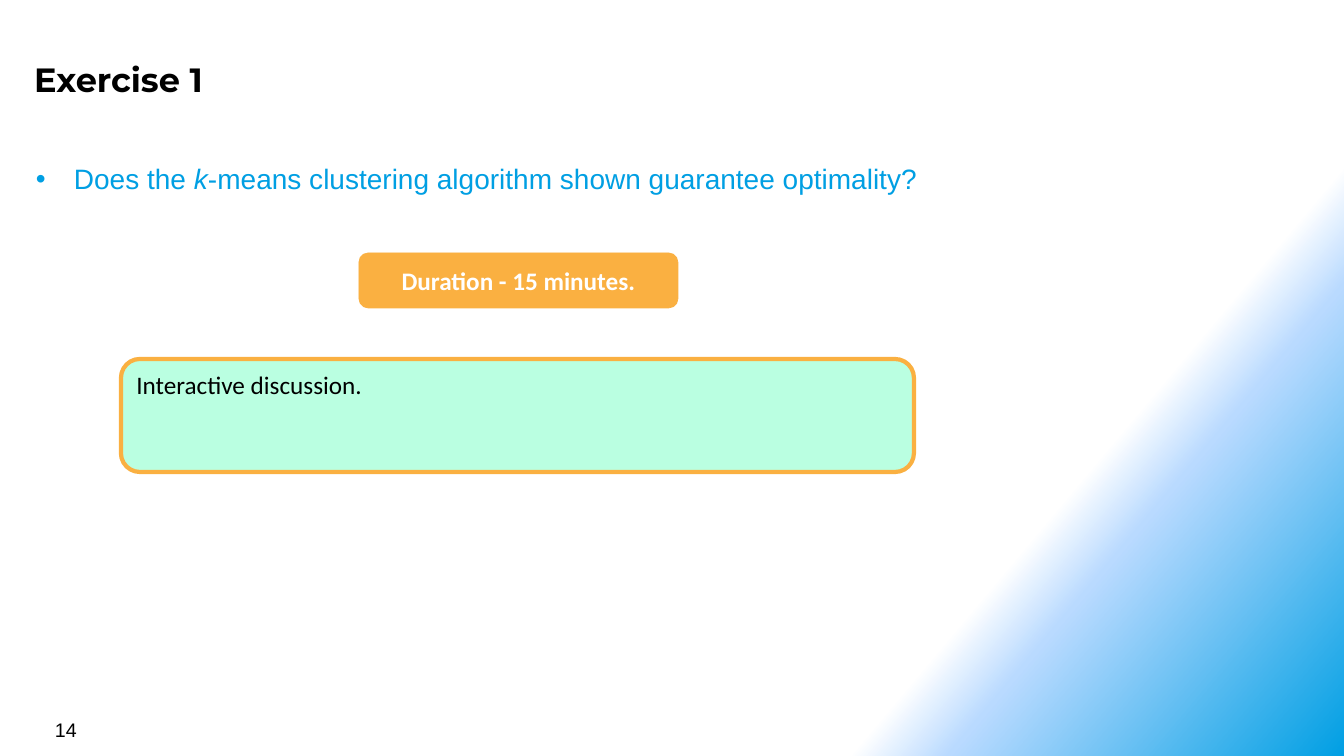
"""Build the Exercise 1 slide with its question, duration and answer box."""
from copy import deepcopy

from lxml.etree import SubElement
from pptx import Presentation
from pptx.dml.color import RGBColor
from pptx.enum.shapes import MSO_SHAPE
from pptx.enum.text import MSO_ANCHOR, PP_ALIGN
from pptx.oxml.ns import qn
from pptx.util import Emu, Pt

COLOURS = {
    "black": "000000",
    "white": "FFFFFF",
    "pale blue": "B9DAFF",
    "blue": "009FE3",
    "orange": "FAB041",
    "mint": "BAFFE1",
}


def px(length):
    return Emu(round(length * 914400 / 100.8))


def colour(name):
    return RGBColor.from_string(COLOURS[name])


deck = Presentation()
deck.slide_width, deck.slide_height = px(1344), px(756)
page = deck.slides.add_slide(deck.slide_layouts[5])

backdrop = page.background.fill
backdrop.gradient()
backdrop.gradient_angle = 320
stop_list = next(page.element.iter(qn("a:gsLst")))
stop_list.append(deepcopy(stop_list[0]))
stops = [(0.75, "white"), (0.8, "pale blue"), (1, "blue")]
for stop, (position, name) in zip(backdrop.gradient_stops, stops):
    stop.position = position
    stop.color.rgb = colour(name)

title = page.shapes.title
title.left, title.top, title.width, title.height = px(26), px(51), px(1236), px(56)
title_frame = title.text_frame
title_frame.margin_left = title_frame.margin_right = px(8)
title_frame.margin_top = title_frame.margin_bottom = px(8)

number = page.shapes.add_textbox(px(45), px(713), px(313), px(33))
question = page.shapes.add_textbox(px(26), px(157), px(1278), px(44))

rounded = MSO_SHAPE.ROUNDED_RECTANGLE
duration = page.shapes.add_shape(rounded, px(359), px(253), px(319), px(55))
answer = page.shapes.add_shape(rounded, px(121), px(359), px(793), px(113))
for box, fill, weight in [(duration, "orange", 0.5), (answer, "mint", 3)]:
    box.shadow.inherit = False
    box.fill.solid()
    box.fill.fore_color.rgb = colour(fill)
    box.line.color.rgb = colour("orange")
    box.line.width = Pt(weight)

texts = [
    (title, ["Exercise 1"], "Montserrat", 24, "black", True),
    (number, ["14"], "Arial", 14, "black", False),
    (question, ["Does the ", "k", "-means clustering algorithm shown guarantee optimality?"],
     "Arial", 20, "blue", False),
    (duration, ["Duration - 15 minutes."], "Calibri", 18, "white", True),
    (answer, ["Interactive discussion."], "Calibri", 18, "black", False),
]
for box, pieces, font, size, name, bold in texts:
    box.text_frame.word_wrap = True
    box.text_frame.vertical_anchor = MSO_ANCHOR.TOP
    para = box.text_frame.paragraphs[0]
    para.alignment = PP_ALIGN.LEFT
    for piece in pieces:
        span = para.add_run()
        span.text = piece
        span.font.name = font
        span.font.size = Pt(size)
        span.font.bold = bold
        span.font.italic = piece == "k"
        span.font.color.rgb = colour(name)

duration.text_frame.vertical_anchor = MSO_ANCHOR.MIDDLE
duration.text_frame.paragraphs[0].alignment = PP_ALIGN.CENTER

bullet = question.text_frame.paragraphs[0]._p.get_or_add_pPr()
bullet.set("marL", str(px(38)))
bullet.set("indent", str(-px(38)))
SubElement(bullet, qn("a:buFont"), typeface="Arial")
SubElement(bullet, qn("a:buChar"), char="•")

deck.save("out.pptx")
